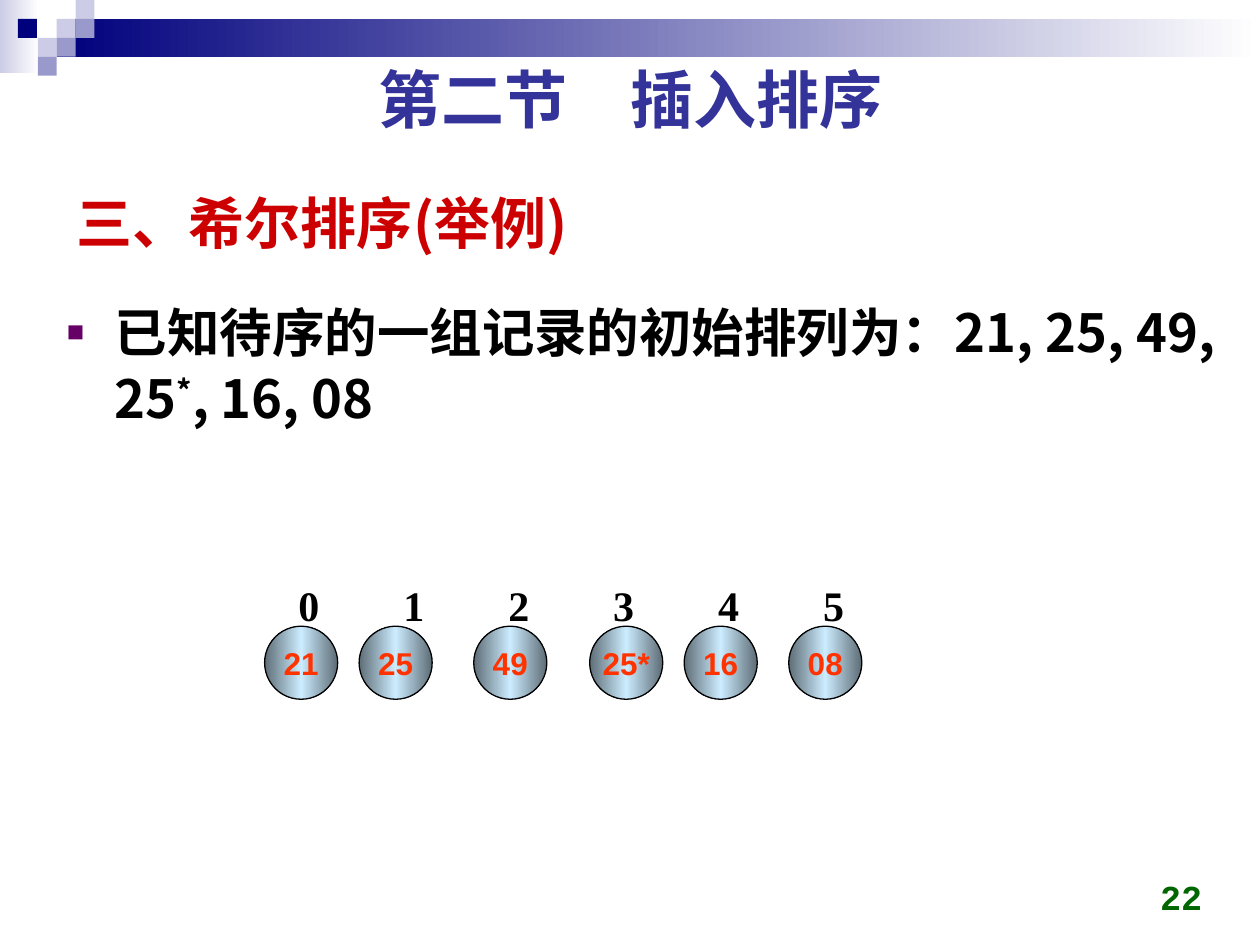
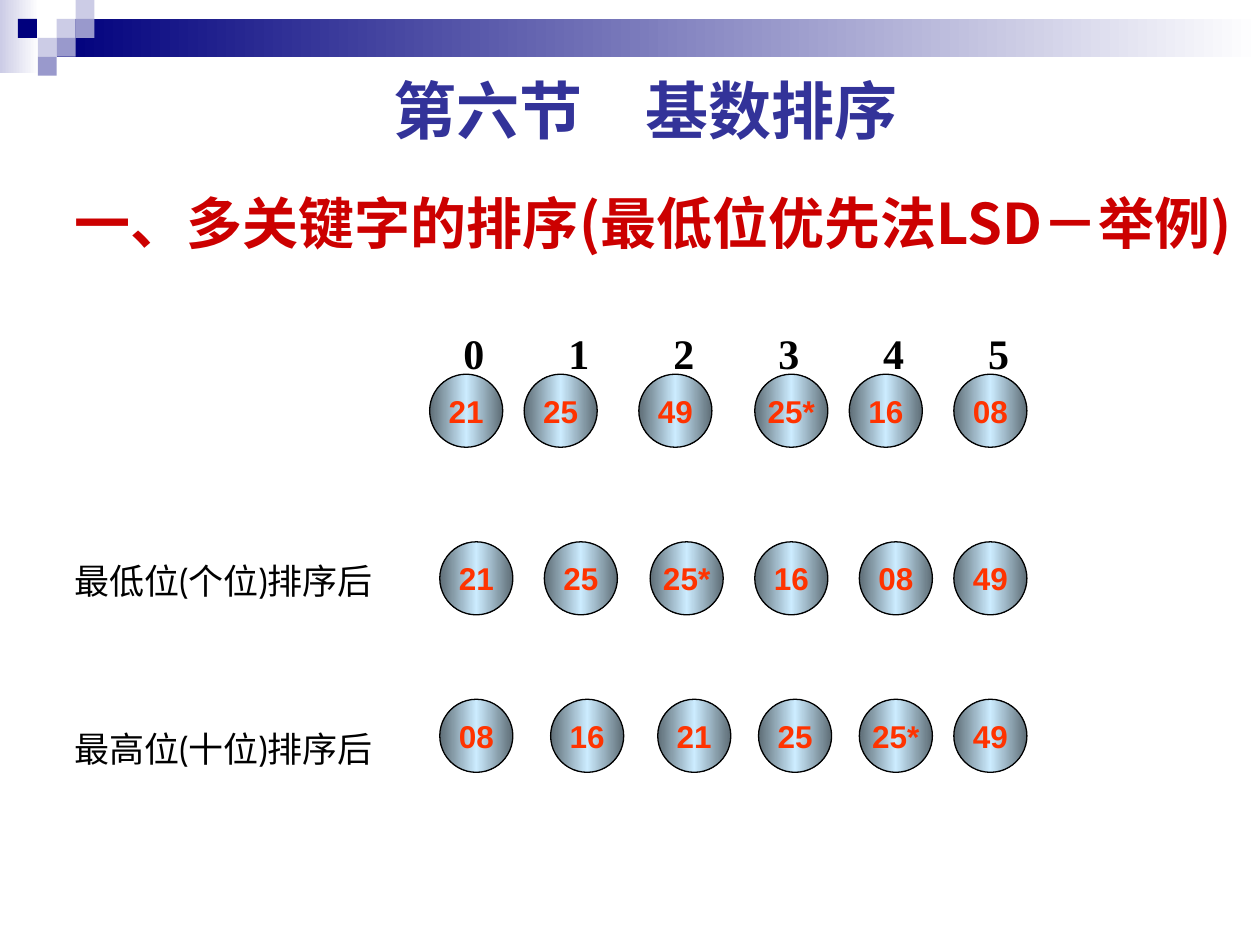
from lxml.etree import SubElement
from pptx import Presentation
from pptx.dml.color import RGBColor
from pptx.enum.shapes import MSO_SHAPE as SHAPE
from pptx.enum.text import MSO_ANCHOR as ANCHOR, MSO_AUTO_SIZE as AUTO_SIZE, PP_ALIGN as ALIGN
from pptx.oxml.ns import qn
from pptx.util import Inches, Pt

COLORS = {
    "navy": "00007D", "lilac": "CCCCE6", "violet": "9999CC", "white": "FFFFFF",
    "section": "333399", "topic": "CC0000", "black": "000000", "bullet": "660066",
    "page": "006600", "record": "FF3300", "rim": "5E6D76", "shine": "CCECFF",
}
CJK = "Noto Sans CJK SC"
TILE = 0.15
BALL = 0.58
INDEX_PITCH = 0.833
INITIAL_KEYS = ["21", "25", "49", "25*", "16", "08"]
INITIAL_OFFSETS = [0, 0.75, 1.66, 2.58, 3.33, 4.16]


def color(name):
    return RGBColor.from_string(COLORS[name])


def inches(*lengths):
    return [Inches(length) for length in lengths]


def add_run(paragraph, text, size, face, tint, bold=True):
    run = paragraph.add_run()
    run.text = text
    font = run.font
    font.size, font.name, font.bold = Pt(size), face, bold
    font.color.rgb = color(tint)
    SubElement(font._element, qn("a:ea")).set("typeface", face)
    return run


def add_textbox(slide, box, align=ALIGN.LEFT, anchor=ANCHOR.TOP):
    frame = slide.shapes.add_textbox(*inches(*box)).text_frame
    frame.word_wrap = True
    frame.vertical_anchor = anchor
    frame.paragraphs[0].alignment = align
    return frame


def fit_placeholder(placeholder, box, anchor):
    """Move a placeholder and return its first paragraph, ready for runs."""
    placeholder.left, placeholder.top, placeholder.width, placeholder.height = inches(*box)
    frame = placeholder.text_frame
    frame.auto_size = AUTO_SIZE.NONE
    frame.vertical_anchor = anchor
    paragraph = frame.paragraphs[0]
    paragraph.alignment = ALIGN.LEFT
    paragraph.space_before = Pt(0)
    return paragraph


def paint(shape, *tints):
    """Fill with one colour, or with a left-to-right gradient of several."""
    shape.shadow.inherit = False
    if len(tints) == 1:
        shape.fill.solid()
        shape.fill.fore_color.rgb = color(tints[0])
        return
    shape.fill.gradient()
    shape.fill.gradient_angle = 0
    stops = next(shape.element.iter(qn("a:gsLst")))
    stops.clear()
    for i, tint in enumerate(tints):
        stop = SubElement(stops, qn("a:gs"), pos=str(100000 * i // (len(tints) - 1)))
        SubElement(stop, qn("a:srgbClr"), val=COLORS[tint])


def add_master_band(deck, slide):
    """Draw the corner tiles and top band, then hand them to the slide master."""
    band = slide.shapes.add_group_shape()
    parts = [
        ((0, 0, 0.31, 0.58), ("lilac", "white")),
        ((3 * TILE, TILE, 9.55, 2 * TILE), ("navy", "white")),
    ]
    tiles = [(3, 1, "lilac"), (4, 0, "lilac"), (4, 1, "violet"), (2, 2, "lilac"),
             (0.95, 1, "navy"), (3, 2, "violet"), (2, 3, "violet")]
    parts += [((col * TILE, row * TILE, TILE, TILE), (tint,)) for col, row, tint in tiles]
    for box, tints in parts:
        part = band.shapes.add_shape(SHAPE.RECTANGLE, *inches(*box))
        paint(part, *tints)
        part.line.fill.background()
    for number, props in enumerate(band.element.iter(qn("p:cNvPr")), 100):
        props.set("id", str(number))
    deck.slide_master.shapes.element.insert(2, band.element)


def add_section(slide, text, left, top):
    heading = add_textbox(slide, (left, top, 9.25, 0.7), ALIGN.CENTER)
    add_run(heading.paragraphs[0], text, 36, "Cabin", "section")


def add_topic(slide, text, box):
    topic = fit_placeholder(slide.shapes.title, box, ANCHOR.MIDDLE)
    topic.line_spacing = Pt(38)
    add_run(topic, text, 32, CJK, "topic")


def add_statement(slide, box):
    statement = fit_placeholder(slide.placeholders[1], box, ANCHOR.TOP)
    props = statement._p.get_or_add_pPr()
    props.set("marL", str(Inches(0.38)))
    props.set("indent", str(Inches(-0.38)))
    tint = SubElement(props, qn("a:buClr"))
    SubElement(tint, qn("a:srgbClr"), val=COLORS["bullet"])
    SubElement(props, qn("a:buSzPct"), val="55000")
    SubElement(props, qn("a:buFont"), typeface="Arial")
    SubElement(props, qn("a:buChar"), char="■")
    statement.line_spacing = Pt(38)
    for text, baseline in [("已知待序的一组记录的初始排列为：21, 25, 49, 25", 0),
                           ("*", 30000), (", 16, 08", 0)]:
        run = add_run(statement, text, 30, CJK, "black")
        run.font._element.set("baseline", str(baseline))


def add_records(slide, left, top, keys, offsets):
    row = slide.shapes.add_group_shape()
    for key, offset in zip(keys, offsets):
        ball = row.shapes.add_shape(SHAPE.OVAL, *inches(left + offset, top, BALL, BALL))
        paint(ball, "rim", "shine", "rim")
        ball.line.color.rgb = color("black")
        ball.line.width = Pt(0.75)
        frame = ball.text_frame
        frame.word_wrap = False
        frame.vertical_anchor = ANCHOR.MIDDLE
        frame.paragraphs[0].alignment = ALIGN.CENTER
        add_run(frame.paragraphs[0], key, 18, "Arial", "record")


def add_initial_records(slide, left, top):
    """Place the unsorted row with its index numbers above."""
    indexes = add_textbox(slide, (left + 0.17, top, 4.86, 0.5)).paragraphs[0]
    stops = SubElement(indexes._p.get_or_add_pPr(), qn("a:tabLst"))
    for i in range(1, len(INITIAL_KEYS)):
        SubElement(stops, qn("a:tab"), pos=str(Inches(i * INDEX_PITCH)), algn="l")
    numbers = "\t".join(str(i) for i in range(len(INITIAL_KEYS)))
    add_run(indexes, numbers, 24, "Times New Roman", "black")
    add_records(slide, left, top + 0.42, INITIAL_KEYS, INITIAL_OFFSETS)


def add_pass_labels(slide, box):
    labels = add_textbox(slide, box)
    add_run(labels.paragraphs[0], "最低位(个位)排序后", 20, "Cabin", "black", False)
    second = labels.add_paragraph()
    second.space_before = Pt(72)
    add_run(second, "最高位(十位)排序后", 20, "Cabin", "black", False)


def add_page_number(slide, number, box):
    page = add_textbox(slide, box, ALIGN.RIGHT, ANCHOR.BOTTOM)
    add_run(page.paragraphs[0], number, 20, "Courier New", "page")


def build_shell_sort(slide):
    add_topic(slide, "三、希尔排序(举例)", (0.51, 1.39, 6.25, 0.75))
    add_statement(slide, (0.43, 2.3, 9.58, 3.8))
    add_initial_records(slide, 2.1, 4.55)
    add_section(slide, "第二节　插入排序", 0.38, 0.43)
    add_page_number(slide, "22", (7.31, 6.83, 2.33, 0.5))


def build_radix_sort(slide):
    add_topic(slide, "一、多关键字的排序(最低位优先法LSD－举例)", (0.49, 1.39, 9.5, 0.75))
    add_initial_records(slide, 3.41, 2.55)
    add_records(slide, 3.49, 4.3, ["21", "25", "25*", "16", "08", "49"],
                [0, 0.83, 1.67, 2.5, 3.33, 4.08])
    add_records(slide, 3.49, 5.55, ["08", "16", "21", "25", "25*", "49"],
                [0, 0.88, 1.73, 2.53, 3.33, 4.08])
    add_pass_labels(slide, (0.49, 4.39, 2.75, 2.44))
    add_section(slide, "第六节　基数排序", 0.5, 0.52)


def main():
    deck = Presentation()
    deck.slide_width, deck.slide_height = inches(10, 7.5)
    content_layout, title_layout = deck.slide_layouts[1], deck.slide_layouts[5]
    shell_sort = deck.slides.add_slide(content_layout)
    add_master_band(deck, shell_sort)
    build_shell_sort(shell_sort)
    build_radix_sort(deck.slides.add_slide(title_layout))
    deck.save("out.pptx")


if __name__ == "__main__":
    main()
